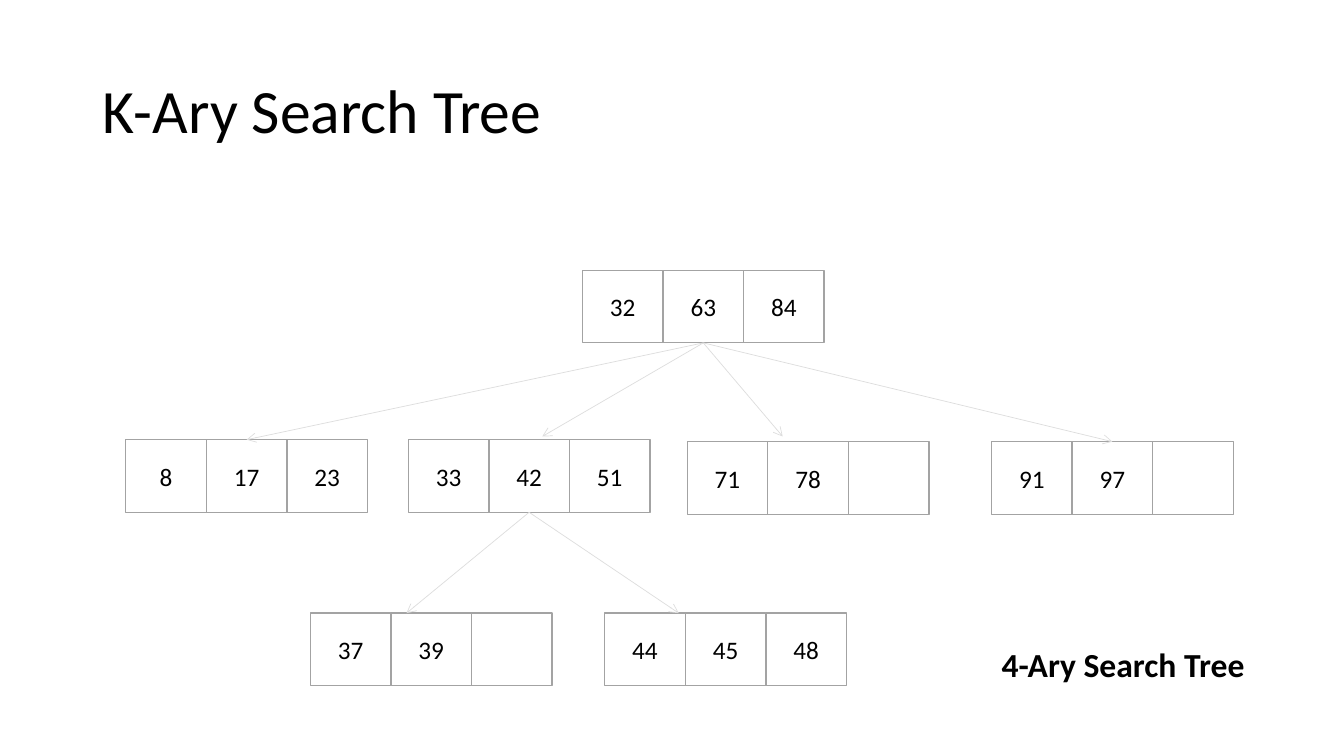
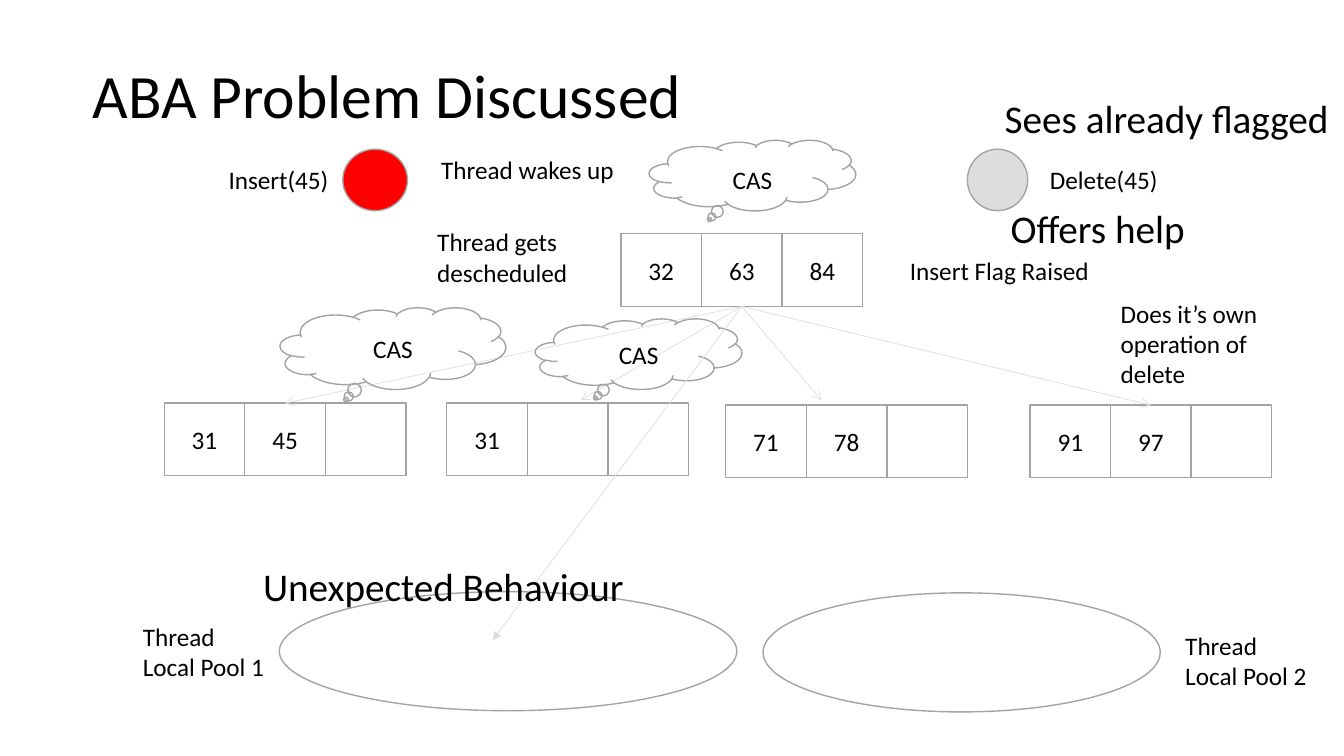
from lxml import etree
from pptx import Presentation
from pptx.dml.color import RGBColor
from pptx.enum.shapes import MSO_CONNECTOR as Link, MSO_SHAPE as Preset
from pptx.enum.text import MSO_ANCHOR as Anchor, MSO_AUTO_SIZE as AutoSize, PP_ALIGN as Align
from pptx.oxml.ns import qn
from pptx.util import Cm, Pt

COLORS = {"text": "000000", "outline": "A3A3A3", "arrow": "DDDDDD",
          "insert": "FF0000", "delete": "DDDDDD"}
FONT = "Calibri"
TITLE_ONLY = 5
CELL_WIDTH, CELL_HEIGHT, CELLS = 2.03, 1.83, 3

# Second level: keys, offset from the root, arrow tip offset from the node's
# top centre (None joins the arrow to the node)
CHILD_SLOTS = [
    ((-11.51, 4.27), None),
    ((-4.39, 4.27), (0.33, -0.08)),
    ((2.64, 4.32), (-0.64, -0.13)),
    ((10.31, 4.32), None),
]
GRANDCHILD_SLOTS = [
    ((-6.86, 8.64), (-0.62, 0)),
    ((0.56, 8.64), (-1.18, 0)),
]


def color(name):
    return RGBColor.from_string(COLORS[name])


# Text
def write(frame, text, size=18, bold=False, align=Align.LEFT, spacing=None):
    for index, line in enumerate(text.split("\n")):
        para = frame.paragraphs[0] if index == 0 else frame.add_paragraph()
        para.alignment = align
        if spacing:
            para.line_spacing = spacing
        span = para.add_run()
        span.text = line
        span.font.name = FONT
        span.font.size = Pt(size)
        span.font.bold = bold
        span.font.color.rgb = color("text")


def add_label(page, text, left, top, width, height, wrap=False,
              anchor=Anchor.TOP, fit=AutoSize.SHAPE_TO_FIT_TEXT, **style):
    box = page.shapes.add_textbox(Cm(left), Cm(top), Cm(width), Cm(height))
    frame = box.text_frame
    frame.word_wrap = wrap
    frame.auto_size = fit
    frame.vertical_anchor = anchor
    write(frame, text, **style)


def add_page(deck, title, left, top, width, height):
    page = deck.slides.add_slide(deck.slide_layouts[TITLE_ONLY])
    box = page.shapes.title
    box.left, box.top, box.width, box.height = map(Cm, (left, top, width, height))
    box.text_frame.vertical_anchor = Anchor.MIDDLE
    write(box.text_frame, title, size=44, spacing=0.9)
    return page


# Shapes and arrows
def add_outline(page, preset, left, top, width, height, fill=None):
    shape = page.shapes.add_shape(preset, Cm(left), Cm(top), Cm(width), Cm(height))
    shape.shadow.inherit = False
    if fill:
        shape.fill.solid()
        shape.fill.fore_color.rgb = color(fill)
    else:
        shape.fill.background()
    shape.line.color.rgb = color("outline")
    shape.line.width = Pt(1)
    return shape


def add_arrow(page, source, target=None, tip=(0, 0), head="arrow"):
    """Runs from the bottom of source to the top of target, or to a free tip."""
    end = (Cm(tip[0]), Cm(tip[1]))
    arrow = page.shapes.add_connector(Link.STRAIGHT, 0, 0, *end)
    arrow.begin_connect(source, 2)
    if target is not None:
        arrow.end_connect(target, 0)
    arrow.line.color.rgb = color("arrow")
    arrow.line.width = Pt(0.5)
    line = arrow.line._get_or_add_ln()
    etree.SubElement(line, qn("a:tailEnd"), type=head)
    etree.SubElement(arrow._element.spPr, qn("a:effectLst"))


# Search tree
def add_node(page, left, top, keys):
    """Draws a row of cells and returns the middle one."""
    cells = []
    for index in range(CELLS):
        cell = add_outline(page, Preset.RECTANGLE, left + index * CELL_WIDTH, top,
                           CELL_WIDTH, CELL_HEIGHT)
        if index < len(keys):
            frame = cell.text_frame
            frame.margin_left = frame.margin_right = 0
            frame.vertical_anchor = Anchor.MIDDLE
            write(frame, str(keys[index]), align=Align.CENTER)
        cells.append(cell)
    return cells[CELLS // 2]


def add_children(page, parent, left, top, slots, keys_by_child):
    nodes = []
    for ((across, down), tip), keys in zip(slots, keys_by_child):
        node = add_node(page, left + across, top + down, keys)
        if tip is None:
            add_arrow(page, parent, node)
        else:
            middle = left + across + CELLS * CELL_WIDTH / 2
            add_arrow(page, parent, tip=(middle + tip[0], top + down + tip[1]))
        nodes.append(node)
    return nodes


def add_tree(page, left, top, root_keys, child_keys, grandchild_keys=()):
    root = add_node(page, left, top, root_keys)
    children = add_children(page, root, left, top, CHILD_SLOTS, child_keys)
    add_children(page, children[1], left, top, GRANDCHILD_SLOTS, grandchild_keys)
    return root


# Thread marks
def add_cloud(page, left, top, width, height, drop=0):
    add_outline(page, Preset.CLOUD_CALLOUT, left, top, width, height)
    add_label(page, "CAS", left, top + drop, width, height, wrap=True,
              anchor=Anchor.MIDDLE, fit=AutoSize.NONE, align=Align.CENTER)


def add_thread(page, left, top, width, fill, text, text_left, text_width):
    add_outline(page, Preset.OVAL, left, top, width, 1.55, fill)
    add_label(page, text, left + text_left, top + 0.25, text_width, 1.02)


def add_pool(page, left, top, width, text, text_left, text_top):
    add_outline(page, Preset.OVAL, left, top, width, 3)
    add_label(page, text, left + text_left, top + text_top, 3.61, 1.8)


# Slides
def build_tree_page(deck):
    page = add_page(deck, "K-Ary Search Tree", 2.34, 1.02, 29.21, 3.68)
    add_tree(page, 14.68, 6.81, (32, 63, 84),
             [(8, 17, 23), (33, 42, 51), (71, 78), (91, 97)],
             [(37, 39), (44, 45, 48)])
    add_label(page, "4-Ary Search Tree", 24.99, 16.1, 6.99, 1.27, size=24, bold=True)


def build_aba_page(deck):
    page = add_page(deck, "ABA Problem Discussed", 2.08, 0.89, 30.48, 3.18)
    root = add_tree(page, 15.65, 5.89, (32, 63, 84),
                    [(31, 45), (31,), (71, 78), (91, 97)])

    # Threads and their compare-and-swap clouds
    add_thread(page, 8.64, 3.76, 1.63, "insert", "Insert(45)", -3.13, 3.05)
    add_thread(page, 24.38, 3.76, 1.52, "delete", "Delete(45)", 1.83, 3.25)
    add_cloud(page, 16.36, 3.53, 5.21, 1.78, drop=0.1)
    add_cloud(page, 13.49, 8.03, 5.21, 1.78)
    add_cloud(page, 7.06, 7.75, 5.69, 2.06)

    # Memory pools
    add_pool(page, 7.04, 14.91, 11.53, "Thread\nLocal Pool 1", -3.69, 0.61)
    add_pool(page, 19.23, 14.94, 10.01, "Thread\nLocal Pool 2", 10.39, 0.81)
    add_arrow(page, root, tip=(12.42, 16.13), head="triangle")

    # Event captions
    captions = [
        ("Thread gets\ndescheduled", 10.77, 5.59, 3.99, 1.8, 18),
        ("Thread wakes up", 10.87, 3.76, 4.9, 1.02, 18),
        ("Insert Flag Raised", 22.68, 6.3, 5.08, 1.02, 18),
        ("Sees already flagged", 25.07, 2.26, 8.76, 1.45, 28),
        ("Offers help", 25.22, 5.03, 4.95, 1.45, 28),
        ("Unexpected Behaviour", 6.38, 14.05, 9.7, 1.45, 28),
    ]
    for text, left, top, width, height, size in captions:
        add_label(page, text, left, top, width, height, size=size)
    add_label(page, "Does it’s own operation of delete", 27.99, 7.39, 4.55, 2.57,
              wrap=True)


def main():
    deck = Presentation()
    deck.slide_width, deck.slide_height = Cm(33.87), Cm(19.05)
    build_tree_page(deck)
    build_aba_page(deck)
    deck.save("out.pptx")


if __name__ == "__main__":
    main()
